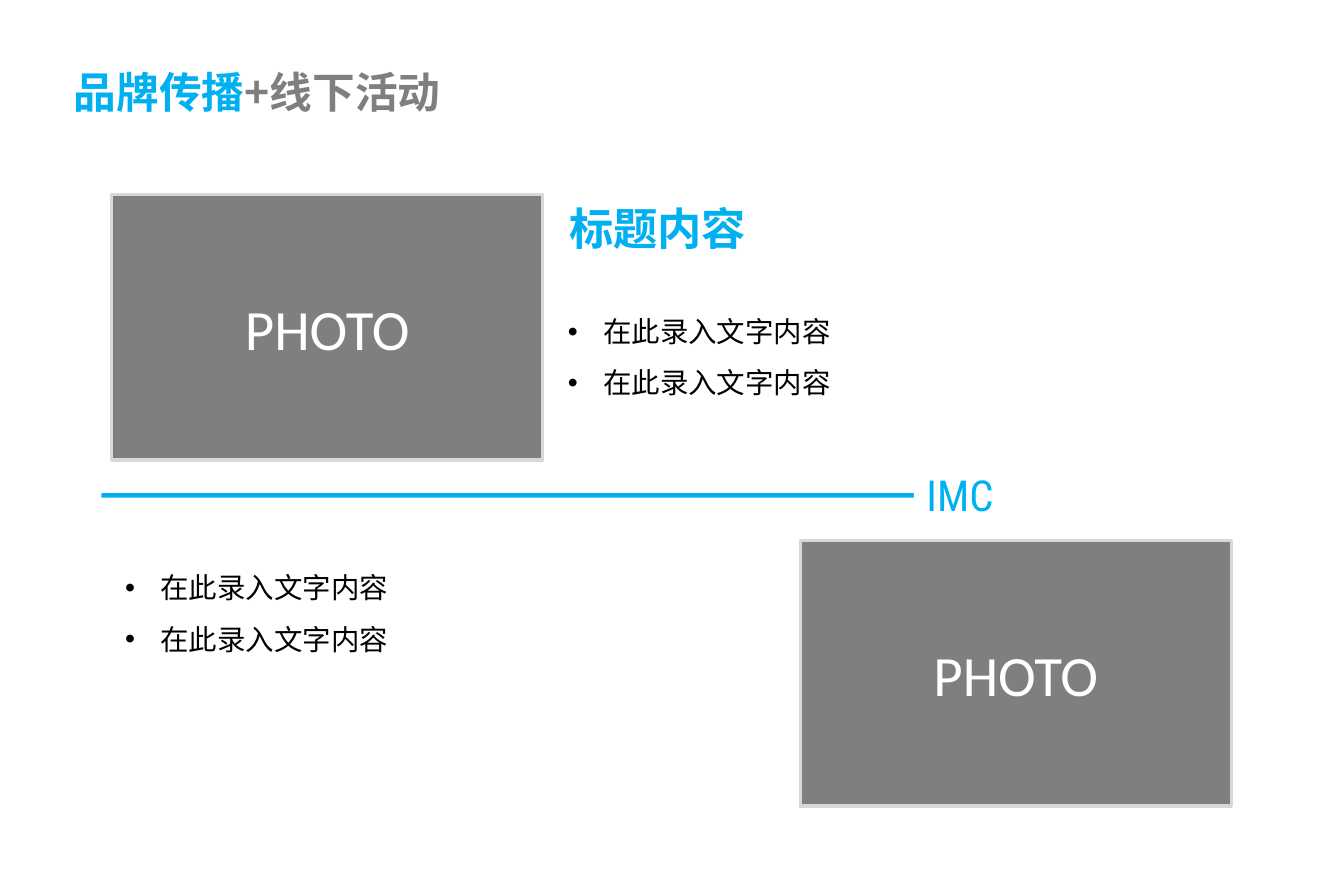
"""Build the offline events slide with two photo frames and bullet lists."""
from lxml import etree
from pptx import Presentation
from pptx.dml.color import RGBColor
from pptx.enum import shapes, text
from pptx.oxml import ns
from pptx.util import Pt

BLUE = RGBColor(0x00, 0xB0, 0xF0)
GREY = RGBColor(0x7F, 0x7F, 0x7F)
PALE = RGBColor(0xD8, 0xD8, 0xD8)
BLACK = RGBColor(0x00, 0x00, 0x00)
WHITE = RGBColor(0xFF, 0xFF, 0xFF)
CJK, LABEL, PHOTO_FONT = "Noto Sans CJK SC", "Roboto Condensed", "Calibri"

SLIDE_SIZE = (850.32, 566.64)
HEADLINE = [("品牌传播", BLUE), ("+线下活动", GREY)]
HEADLINE_BOX = (38.9, 35.3, 765.4, 44.6)
SUBTITLE, SUBTITLE_BOX = "标题内容", (352.1, 123.1, 452.9, 41.8)
LISTS = [
    (["在此录入文字内容"] * 2, (352.1, 184.3, 257.8, 72)),
    (["在此录入文字内容"] * 2, (72, 346.3, 425.5, 72)),
]
RULE_BOX = (64.1, 311.8, 715, 2.9)
BADGE, BADGE_BOX = "IMC", (578.2, 292.3, 229, 40.3)
PHOTO, PHOTO_SIZE = "PHOTO", (272.9, 167.8)
PHOTO_CORNERS = [(70.6, 123.1), (506.2, 342)]
BULLET_INDENT = 22.3


def place(part, box):
    """Move a part to a box given in points."""
    part.left, part.top, part.width, part.height = map(Pt, box)


def write(part, lines, size, font=CJK, bold=False, align=text.PP_ALIGN.LEFT,
          anchor=text.MSO_ANCHOR.TOP, spacing=1.0, bullet=None, inset=(7.9, 4)):
    """Fill a part with lines, each a list of (words, colour) runs."""
    frame = part.text_frame
    frame.auto_size = text.MSO_AUTO_SIZE.NONE
    frame.word_wrap = True
    frame.vertical_anchor = anchor
    frame.margin_left = frame.margin_right = Pt(inset[0])
    frame.margin_top = frame.margin_bottom = Pt(inset[1])
    for number, runs in enumerate(lines):
        line = frame.add_paragraph() if number else frame.paragraphs[0]
        line.alignment = align
        line.line_spacing = spacing
        line.space_before = Pt(0)
        if bullet:
            props = line._p.get_or_add_pPr()
            props.set("marL", str(Pt(BULLET_INDENT)))
            props.set("indent", str(-Pt(BULLET_INDENT)))
            etree.SubElement(props, ns.qn("a:buFont")).set("typeface", "Arial")
            etree.SubElement(props, ns.qn("a:buChar")).set("char", bullet)
        for words, colour in runs:
            run = line.add_run()
            run.text = words
            run.font.size = Pt(size)
            run.font.bold = bold
            run.font.color.rgb = colour
            run.font.name = font
            east_asian = etree.SubElement(run.font._element, ns.qn("a:ea"))
            east_asian.set("typeface", font)


def add_block(slide, box, fill, border=None):
    """Add a flat rectangle."""
    block = slide.shapes.add_shape(shapes.MSO_SHAPE.RECTANGLE, *map(Pt, box))
    block.shadow.inherit = False
    block.fill.solid()
    block.fill.fore_color.rgb = fill
    if border is None:
        block.line.fill.background()
    else:
        block.line.color.rgb = border
        block.line.width = Pt(2)
    return block


def main():
    """Lay out the slide and save it."""
    deck = Presentation()
    deck.slide_width, deck.slide_height = map(Pt, SLIDE_SIZE)
    slide = deck.slides.add_slide(deck.slide_layouts.get_by_name("Two Content"))

    headline, *bodies = slide.placeholders
    place(headline, HEADLINE_BOX)
    write(headline, [HEADLINE], 27, bold=True, anchor=text.MSO_ANCHOR.MIDDLE)

    subtitle = slide.shapes.add_textbox(*map(Pt, SUBTITLE_BOX))
    write(subtitle, [[(SUBTITLE, BLUE)]], 28, bold=True)

    for body, (items, box) in zip(bodies, LISTS):
        place(body, box)
        write(body, [[(item, BLACK)] for item in items], 18,
              spacing=1.5, bullet="•", inset=(7.2, 3.6))

    add_block(slide, RULE_BOX, BLUE)
    badge = add_block(slide, BADGE_BOX, WHITE)
    write(badge, [[(BADGE, BLUE)]], 27, font=LABEL)

    for corner in PHOTO_CORNERS:
        photo = add_block(slide, corner + PHOTO_SIZE, GREY, PALE)
        write(photo, [[(PHOTO, WHITE)]], 36, font=PHOTO_FONT,
              align=text.PP_ALIGN.CENTER, anchor=text.MSO_ANCHOR.MIDDLE,
              inset=(7.2, 3.6))

    deck.save("out.pptx")


if __name__ == "__main__":
    main()
